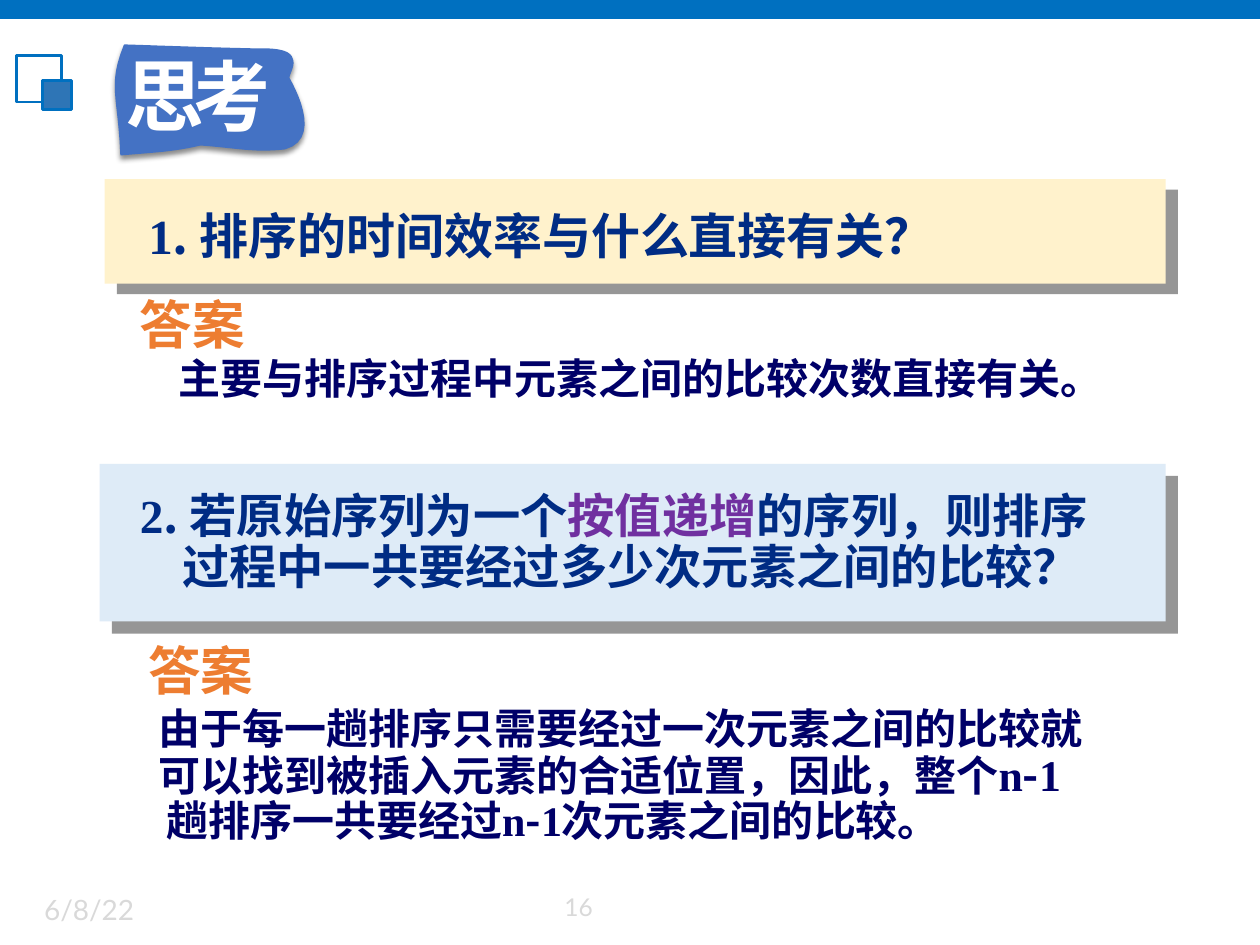
from lxml.etree import SubElement
from pptx import Presentation
from pptx.dml.color import RGBColor
from pptx.enum.shapes import MSO_SHAPE
from pptx.oxml.ns import qn
from pptx.util import Cm, Pt

BLUE = RGBColor(0x00, 0x70, 0xC0)
MARK_BLUE = RGBColor(0x2E, 0x75, 0xB6)
BANNER_BLUE = RGBColor(0x44, 0x72, 0xC4)
CREAM = RGBColor(0xFF, 0xF2, 0xCC)
PALE_BLUE = RGBColor(0xDE, 0xEB, 0xF7)
NAVY = RGBColor(0x00, 0x2C, 0x84)
DARK_NAVY = RGBColor(0x00, 0x00, 0x68)
PURPLE = RGBColor(0x70, 0x30, 0xA0)
ORANGE = RGBColor(0xED, 0x7D, 0x31)
WHITE = RGBColor(0xFF, 0xFF, 0xFF)
LIGHT_GREY = RGBColor(0xD9, 0xD9, 0xD9)
SHADOW_GREY = RGBColor(0x96, 0x96, 0x96)
BLACK = RGBColor(0x00, 0x00, 0x00)

SERIF, HEI, HEI_JP = "Times New Roman", "Noto Sans CJK SC", "Noto Sans CJK JP"
SANS, LATO = "DejaVu Sans", "Lato"

# Rectangles: place in cm, fill, line colour, shadow (colour, opacity %, blur, distance, angle)
RECTANGLES = [
    ((0, 0, 25.4, 0.38), BLUE, None, None),
    ((0.33, 1.12, 0.91, 0.94), None, BLUE, None),
    ((0.86, 1.63, 0.58, 0.58), MARK_BLUE, BLUE, None),
    ((2.11, 3.61, 21.39, 2.11), CREAM, None, (SHADOW_GREY, 100, 0, 9.2, 41)),
    ((2.01, 9.35, 21.49, 3.18), PALE_BLUE, None, (SHADOW_GREY, 100, 0, 9.9, 45)),
]

# Banner outline in cm: start, then Bezier segments (control, control, end)
BANNER_START = (2.51, 0.91)
BANNER_CURVES = [
    ((2.18, 1.73), (2.39, 1.91), (2.44, 3.12)),
    ((3.02, 3.07), (3.51, 3.05), (4.04, 2.92)),
    ((4.75, 2.97), (5.11, 3.07), (5.74, 3.0)),
    ((6.4, 2.82), (6.07, 2.01), (5.82, 1.57)),
    ((5.84, 1.45), (5.94, 1.32), (5.89, 1.19)),
    ((5.84, 0.97), (5.38, 0.99), (5.13, 0.99)),
    ((4.24, 0.97), (3.38, 0.94), BANNER_START),
]
BANNER_SHADOW = (BLACK, 45, 3, 2.4, 90)

# Texts: place in cm, size, colour, bold, line spacing,
# paragraphs as (left indent in cm, runs of (text, font[, size or colour]))
TEXTS = [
    ((0.64, 17.86, 4.67, 1.02), 16, LIGHT_GREY, False, 1, [(0, [("6/8/22", LATO)])]),
    ((11.13, 17.86, 1.57, 0.97), 14, LIGHT_GREY, False, 1, [(0, [("16", LATO)])]),
    ((2.29, 0.81, 2.4, 2.16), 45, WHITE, True, 1, [(0, [("思", HEI_JP)])]),
    ((3.66, 0.86, 2.64, 2.13), 44, WHITE, True, 1, [(0, [("考", HEI_JP)])]),
    ((2.74, 4.01, 18.95, 1.45), 28, NAVY, True, 1, [
        (0, [("1", SERIF), (". 排序的时间效率与什么直接有关？", HEI)])]),
    ((2.57, 5.77, 2.62, 1.52), 30, ORANGE, True, 1, [(0, [("答案", SERIF)])]),
    ((3.35, 6.99, 21, 1.32), 24, DARK_NAVY, True, 1, [
        (0, [("主要与排序过程中元素之间的比较次数直接有关。", SERIF)])]),
    ((2.57, 9.8, 20.52, 2.34), 27, NAVY, True, 0.9, [
        (0, [("2", SERIF), (". 若原始序列为一个", HEI),
             ("按值递增", SANS, PURPLE), ("的序列，则排序", HEI)]),
        (0.85, [("过程中一共要经过多少次元素之间的比较？", HEI)])]),
    ((2.74, 12.73, 2.62, 1.52), 30, ORANGE, True, 1, [(0, [("答案", SERIF)])]),
    ((2.95, 14.15, 21.6, 3.07), 24, DARK_NAVY, True, 0.9, [
        (0, [("由于每一趟排序只需要经过一次元素之间的比较就", HEI)]),
        (0, [("可以找到被插入元素的合适位置，因此，整个", HEI),
             ("n", SERIF, 25), ("-", HEI, 25), ("1", SERIF, 25)]),
        (0.15, [("趟排序一共要经过", HEI), ("n", SERIF), ("-", HEI),
                ("1", SERIF), ("次元素之间的比较。", HEI)])]),
]


def style_shape(shape, fill, line, line_width, shadow):
    shape.shadow.inherit = False
    if fill is None:
        shape.fill.background()
    else:
        shape.fill.solid()
        shape.fill.fore_color.rgb = fill
    if line is None:
        shape.line.fill.background()
    else:
        shape.line.color.rgb = line
        shape.line.width = Pt(line_width)
    if shadow:
        color, opacity, blur, distance, angle = shadow
        effects = shape._element.spPr.find(qn("a:effectLst"))
        outer = SubElement(effects, qn("a:outerShdw"), blurRad=str(Pt(blur)),
                           dist=str(Pt(distance)), dir=str(angle * 60000),
                           algn="tl", rotWithShape="0")
        tint = SubElement(outer, qn("a:srgbClr"), val=str(color))
        SubElement(tint, qn("a:alpha"), val=str(opacity * 1000))


def bezier_points(start, curves, steps=12):
    for first, second, end in curves:
        for step in range(1, steps + 1):
            t = step / steps
            weights = ((1 - t) ** 3, 3 * t * (1 - t) ** 2, 3 * t * t * (1 - t), t ** 3)
            corners = (start, first, second, end)
            yield tuple(Cm(sum(w * c[axis] for w, c in zip(weights, corners)))
                        for axis in (0, 1))
        start = end


def add_text(slide, place, size, color, bold, spacing, paragraphs):
    frame = slide.shapes.add_textbox(*map(Cm, place)).text_frame
    frame.word_wrap = True
    for index, (indent, runs) in enumerate(paragraphs):
        paragraph = frame.add_paragraph() if index else frame.paragraphs[0]
        paragraph.line_spacing = spacing
        if indent:
            paragraph._p.get_or_add_pPr().set("marL", str(Cm(indent)))
        for words, font_name, *change in runs:
            run = paragraph.add_run()
            run.text = words
            font = run.font
            font.name, font.size, font.bold = font_name, Pt(size), bold
            font.color.rgb = color
            for value in change:
                if isinstance(value, RGBColor):
                    font.color.rgb = value
                else:
                    font.size = Pt(value)
            east_asian = font_name if font_name == HEI_JP else HEI
            SubElement(run._r.get_or_add_rPr(), qn("a:ea"), typeface=east_asian)


def main():
    deck = Presentation()
    deck.slide_width, deck.slide_height = Cm(25.4), Cm(19.05)
    slide = deck.slides.add_slide(deck.slide_layouts[6])

    # Top bar, corner mark and question panels
    for place, fill, line, shadow in RECTANGLES:
        rectangle = slide.shapes.add_shape(MSO_SHAPE.RECTANGLE, *map(Cm, place))
        style_shape(rectangle, fill, line, 1.5, shadow)

    # Waving title banner
    outline = slide.shapes.build_freeform(*map(Cm, BANNER_START))
    outline.add_line_segments(list(bezier_points(BANNER_START, BANNER_CURVES)), close=True)
    style_shape(outline.convert_to_shape(), BANNER_BLUE, BANNER_BLUE, 0.79, BANNER_SHADOW)

    # Title, questions, answers and footer
    for text in TEXTS:
        add_text(slide, *text)

    deck.save("out.pptx")


if __name__ == "__main__":
    main()
